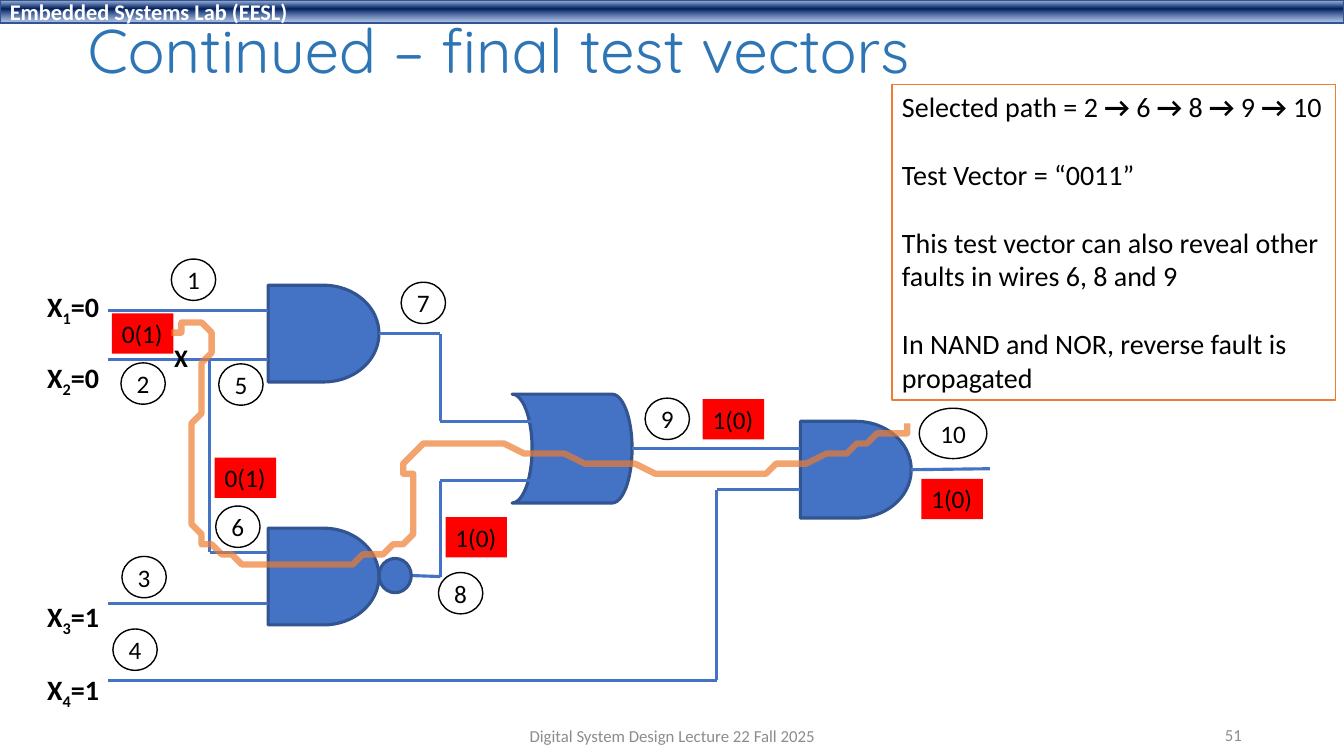
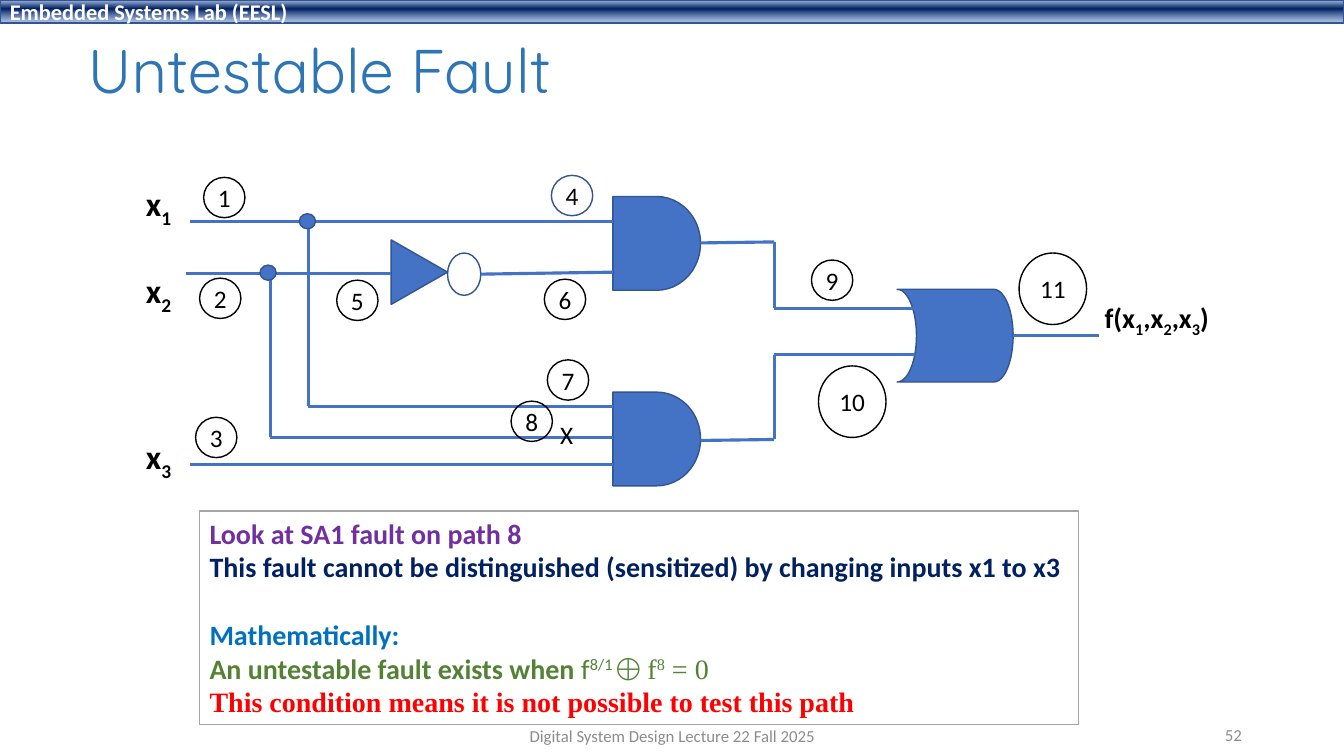
from itertools import pairwise

from lxml.etree import SubElement
from pptx import Presentation
from pptx.dml.color import RGBColor
from pptx.enum.shapes import MSO_CONNECTOR, MSO_SHAPE
from pptx.enum.text import MSO_ANCHOR, MSO_AUTO_SIZE, PP_ALIGN
from pptx.oxml.ns import qn
from pptx.util import Inches, Pt

BLACK = RGBColor(0x00, 0x00, 0x00)
WHITE = RGBColor(0xFF, 0xFF, 0xFF)
TITLE_BLUE = RGBColor(0x2E, 0x75, 0xB6)
GATE_BLUE = RGBColor(0x44, 0x72, 0xC4)
EDGE_BLUE = RGBColor(0x32, 0x54, 0x91)
NAVY = RGBColor(0x00, 0x20, 0x60)
BAND_TOP = RGBColor(0xAB, 0xC0, 0xE4)
BAND_BOTTOM = RGBColor(0x7E, 0x9E, 0xD6)
SKY = RGBColor(0x00, 0x70, 0xC0)
ORANGE = RGBColor(0xED, 0x7D, 0x31)
RED = RGBColor(0xFF, 0x00, 0x00)
PURPLE = RGBColor(0x70, 0x30, 0xA0)
GREEN = RGBColor(0x54, 0x82, 0x35)
GRAY = RGBColor(0x8C, 0x8C, 0x8C)
SILVER = RGBColor(0xA5, 0xA5, 0xA5)

CELL = 0.1
COLUMNS, ROWS = 133.33, 75
BAND_STOPS = ((2, BAND_TOP, 100), (38, NAVY, 100), (93, BAND_BOTTOM, 64))
SUBSCRIPT = {"baseline": -25}
SUPERSCRIPT = {"baseline": 30}
AND, OR = MSO_SHAPE.FLOWCHART_DELAY, MSO_SHAPE.FLOWCHART_STORED_DATA


def grid(*cells):
    return [Inches(cell * CELL) for cell in cells]


def alternate(text, odd_format, **base):
    return [(piece, {**base, **odd_format} if index % 2 else base)
            for index, piece in enumerate(text.split("|"))]


def bezier(start, first, second, end, steps=16):
    for step in range(1, steps + 1):
        t = step / steps
        weights = ((1 - t) ** 3, 3 * t * (1 - t) ** 2, 3 * t * t * (1 - t), t ** 3)
        yield tuple(sum(weight * point[axis] for weight, point in
                        zip(weights, (start, first, second, end))) for axis in (0, 1))


class CircuitDeck:
    base_font = {"name": "Calibri", "size": Pt(20), "bold": False, "color": BLACK}

    def __init__(self):
        self.deck = Presentation()
        self.deck.slide_width, self.deck.slide_height = grid(COLUMNS, ROWS)
        self.page = None

    def new_page(self, title, row, height, number):
        self.page = self.deck.slides.add_slide(self.deck.slide_layouts[5])
        self.band()
        heading = self.page.shapes.title
        heading.left, heading.top, heading.width, heading.height = grid(7.7, row, 115, height)
        self.fill_text(heading, [title], anchor=MSO_ANCHOR.MIDDLE, wrap=True,
                       name="Quicksand", size=Pt(44), color=TITLE_BLUE)
        heading.text_frame.paragraphs[0].line_spacing = 0.9
        small = {"anchor": MSO_ANCHOR.MIDDLE, "wrap": True, "size": Pt(12), "color": GRAY}
        self.label(["Digital System Design Lecture 22 Fall 2025"],
                   (44.2, 71, 45, 4), align=PP_ALIGN.CENTER, **small)
        self.label([str(number)], (94.2, 70.9, 30, 4), align=PP_ALIGN.RIGHT, **small)

    def band(self):
        band = self.shape(MSO_SHAPE.RECTANGLE, (0, 0, COLUMNS, 2.3), line=EDGE_BLUE)
        band.fill.gradient()
        band.fill.gradient_angle = 270
        stops = next(band._element.iter(qn("a:gsLst")))
        stops.clear()
        for position, color, opacity in BAND_STOPS:
            stop = SubElement(stops, qn("a:gs"), pos=str(position * 1000))
            tint = SubElement(stop, qn("a:srgbClr"), val=str(color))
            SubElement(tint, qn("a:alpha"), val=str(opacity * 1000))
        self.fill_text(band, ["Embedded Systems Lab (EESL)"], anchor=MSO_ANCHOR.MIDDLE,
                       margins=(0.1, 0), size=Pt(16), bold=True, color=WHITE)

    def fill_text(self, box, paragraphs, align=PP_ALIGN.LEFT, anchor=MSO_ANCHOR.TOP,
                  wrap=False, margins=(0.1, 0.05), gaps=(), **font_format):
        frame = box.text_frame
        side, edge = map(Inches, margins)
        settings = {"word_wrap": wrap, "auto_size": MSO_AUTO_SIZE.NONE,
                    "vertical_anchor": anchor, "margin_left": side,
                    "margin_right": side, "margin_top": edge, "margin_bottom": edge}
        for name, value in settings.items():
            setattr(frame, name, value)
        for index, content in enumerate(paragraphs):
            para = frame.add_paragraph() if index else frame.paragraphs[0]
            para.alignment = align
            if index in gaps:
                para.space_before = Pt(24.4)
            spans = [(content, {})] if isinstance(content, str) else content
            for text, changes in spans:
                span = para.add_run()
                span.text = text
                self.format_span(span, {**self.base_font, **font_format, **changes})

    @staticmethod
    def format_span(span, font_format):
        for name, value in font_format.items():
            if name == "color":
                span.font.color.rgb = value
            elif name == "baseline":
                span._r.get_or_add_rPr().set("baseline", str(value * 1000))
            else:
                setattr(span.font, name, value)

    def shape(self, kind, area, fill=None, line=None, weight=1, rotation=0):
        shape = self.page.shapes.add_shape(kind, *grid(*area))
        shape.rotation = rotation
        self.paint(shape, fill, line, weight)
        return shape

    @staticmethod
    def paint(shape, fill, line, weight):
        shape.shadow.inherit = False
        for target, color in ((shape.fill, fill), (shape.line.fill, line)):
            if color is None:
                target.background()
            else:
                target.solid()
                target.fore_color.rgb = color
        if line is not None:
            shape.line.width = Pt(weight)

    def label(self, paragraphs, area, **options):
        self.fill_text(self.page.shapes.add_textbox(*grid(*area)), paragraphs, **options)

    def note(self, paragraphs, area, line, **options):
        box = self.shape(MSO_SHAPE.RECTANGLE, area, WHITE, line)
        self.fill_text(box, paragraphs, **options)

    def gate(self, kind, area, weight):
        self.shape(kind, area, GATE_BLUE, EDGE_BLUE, weight, 180 if kind == OR else 0)

    def wire(self, *points):
        for start, end in pairwise(points):
            wire = self.page.shapes.add_connector(
                MSO_CONNECTOR.STRAIGHT, *grid(*start, *end))
            wire.line.color.rgb = GATE_BLUE
            wire.line.width = Pt(2.25)
            SubElement(wire._element.spPr, qn("a:effectLst"))

    def number(self, value, column, row, width, height, line=BLACK):
        circle = self.shape(MSO_SHAPE.OVAL, (column, row, width, height), line=line)
        self.fill_text(circle, [str(value)], align=PP_ALIGN.CENTER, wrap=True,
                       anchor=MSO_ANCHOR.MIDDLE, margins=(0, 0), size=Pt(18))

    def fault(self, text, column, row):
        tag = self.shape(MSO_SHAPE.RECTANGLE, (column, row, 6.1, 4), RED)
        self.fill_text(tag, [text], size=Pt(18))

    def curve(self, start, segments, color, weight, opacity):
        points = []
        for first, second, end in segments:
            points.extend(bezier(points[-1] if points else start, first, second, end))
        builder = self.page.shapes.build_freeform(*start, scale=Inches(CELL))
        builder.add_line_segments(points, close=False)
        trace = builder.convert_to_shape()
        self.paint(trace, None, color, weight)
        tint = next(trace._element.spPr.iter(qn("a:srgbClr")))
        SubElement(tint, qn("a:alpha"), val=str(opacity * 1000))


def draw_test_vectors(art):
    art.new_page("Continued – final test vectors", 1.2, 8.3, 51)
    art.note([alternate("Selected path = 2| → |6| → |8| → |9| → |10", {"bold": True}),
              "Test Vector = “0011”",
              "This test vector can also reveal other", "faults in wires 6, 8 and 9",
              "In NAND and NOR, reverse fault is", "propagated"],
             (88.5, 8.4, 44, 31.3), ORANGE, gaps=(1, 2, 4))
    for column, row in ((26.6, 28.3), (26.6, 52.4), (79.4, 41.8)):
        art.gate(AND, (column, row, 11, 9.6), 2.25)
    art.gate(OR, (50.8, 39.1, 11.9, 10.8), 2.25)
    for points in (
        ((37.6, 33.1), (43.7, 33.1), (43.7, 41.8), (52.7, 41.8)),
        ((40.8, 57.1), (43.7, 57.2), (43.7, 47.7), (52.7, 47.7)),
        ((62.7, 44.5), (79.4, 44.5)),
        ((90.4, 46.6), (98.2, 46.5)),
        ((79.4, 48.6), (71.1, 48.6), (71.1, 67.5), (10.7, 67.5)),
        ((26.6, 59.9), (10.7, 59.9)),
        ((20.8, 35.7), (20.8, 54.8), (26.6, 54.8)),
        ((26.6, 35.7), (10.7, 35.7)),
        ((26.6, 30.8), (10.7, 30.8)),
    ):
        art.wire(*points)
    art.shape(MSO_SHAPE.OVAL, (37.6, 55.4, 3.2, 3.4), GATE_BLUE, EDGE_BLUE, 2.25)
    art.label(["X"], (16.3, 33.5, 3.4, 4), size=Pt(18), bold=True)
    for value, column, row in (
        (1, 17, 25.7), (2, 12, 36), (3, 12.1, 55.2), (4, 11.2, 62.4), (5, 21.7, 36.1),
        (6, 21.4, 50.2), (7, 39.8, 28), (8, 43.5, 56.8), (9, 64, 39.5),
    ):
        art.number(value, column, row, 4.4, 4.1)
    art.number(10, 91.2, 40.5, 6.7, 5)
    for text, row in (("X|1|=0", 28.2), ("X|2|=0", 35.3), ("X|3|=1", 59), ("X|4|=1", 66.2)):
        art.label([alternate(text, SUBSCRIPT)], (3.7, row, 7.3, 4.4), bold=True)
    for text, column, row in (
        ("0(1)", 11.1, 31.1), ("0(1)", 21.3, 45.4), ("1(0)", 69.7, 39.6),
        ("1(0)", 91.4, 47.5), ("1(0)", 44.2, 51.3),
    ):
        art.fault(text, column, row)
    art.curve((17.3, 33.1), (
        ((18.8, 32), (20.4, 30.5), (20.7, 33.6)),
        ((20.9, 36.7), (17.4, 48.1), (18.9, 51.8)),
        ((20.4, 55.6), (26, 56), (29.7, 56.2)),
        ((33.4, 56.4), (38.8, 55), (41, 53)),
        ((43.1, 50.9), (37.5, 45.1), (42.6, 44.1)),
        ((47.7, 43.1), (64.3, 47.4), (71.8, 47.2)),
        ((79.3, 46.9), (87.7, 43), (90.4, 42.5)),
    ), ORANGE, 4.5, 70)


def draw_untestable_fault(art):
    art.new_page("Untestable Fault", 2.9, 8.7, 52)
    for row in (19.5, 38.9):
        art.gate(AND, (60.8, row, 8.7, 9.3), 1)
    art.gate(OR, (89, 28.7, 11.5, 9.2), 1)
    art.shape(MSO_SHAPE.ISOSCELES_TRIANGLE, (38.4, 24.2, 6.4, 5.6),
              GATE_BLUE, EDGE_BLUE, rotation=90)
    art.shape(MSO_SHAPE.OVAL, (44.4, 25.1, 3.3, 4.2), line=EDGE_BLUE)
    for points in (
        ((47.7, 27.2), (60.8, 27)),
        ((18.5, 27.1), (38.8, 27.1)),
        ((18.9, 22), (60.8, 22)),
        ((18.9, 46.1), (60.8, 46.1)),
        ((30.6, 22), (30.6, 40.3), (60.8, 40.3)),
        ((26.8, 27.1), (26.8, 43.4), (60.8, 43.4)),
        ((69.5, 24.1), (76.8, 24), (76.8, 30.6), (90.8, 30.6)),
        ((69.5, 43.7), (76.8, 43.6), (76.8, 35.2), (90.8, 35.2)),
        ((100.5, 33.3), (109, 33.3)),
    ):
        art.wire(*points)
    art.label([alternate("f(x|1|,x|2|,x|3|)", SUBSCRIPT)],
              (108.6, 29.3, 12.8, 4.4), bold=True)
    for value, column, row in (
        (1, 20.2, 17.6), (2, 19.8, 27.6), (3, 19.4, 41.4), (4, 54.7, 17.4), (5, 33.4, 27.8),
        (6, 54, 27.7), (7, 54.3, 35.7), (8, 50.7, 39.8), (9, 80.5, 25.8),
    ):
        art.number(value, column, row, 4.1, 4, EDGE_BLUE if value == 4 else BLACK)
    for value, column, row in ((10, 81.2, 36.3), (11, 101.1, 25.1)):
        art.number(value, column, row, 6.7, 7.1)
    for text, row in (("x|1", 17.7), ("x|2", 26.3), ("x|3", 42.8)):
        art.label([alternate(text, SUBSCRIPT)], (13.5, row, 4.7, 5), size=Pt(24), bold=True)
    for column, row in ((29.7, 21.2), (25.8, 26.3)):
        art.shape(MSO_SHAPE.OVAL, (column, row, 1.6, 1.5), GATE_BLUE, EDGE_BLUE)
    plain = {"color": GREEN, "bold": False}
    art.note([
        [("Look at SA1 fault on path 8", {"color": PURPLE})],
        [("This fault cannot be distinguished (sensitized) by changing inputs x1 to x3",
          {"color": NAVY})],
        [("Mathematically:", {"color": SKY})],
        [("An untestable fault exists when ", {"color": GREEN}),
         *alternate("f|8/1 ", SUPERSCRIPT, **plain),
         *alternate("⨁ f|8| = 0", SUPERSCRIPT, name="Times New Roman", **plain)],
        [("This condition means it is not possible to test this path",
          {"color": RED, "name": "Times New Roman"})],
    ], (19.8, 50.7, 87.2, 21.2), SILVER, gaps=(2,), bold=True)
    art.label(["X"], (54.6, 41.1, 3.3, 4), size=Pt(18))


def main():
    art = CircuitDeck()
    draw_test_vectors(art)
    draw_untestable_fault(art)
    art.deck.save("out.pptx")


if __name__ == "__main__":
    main()
